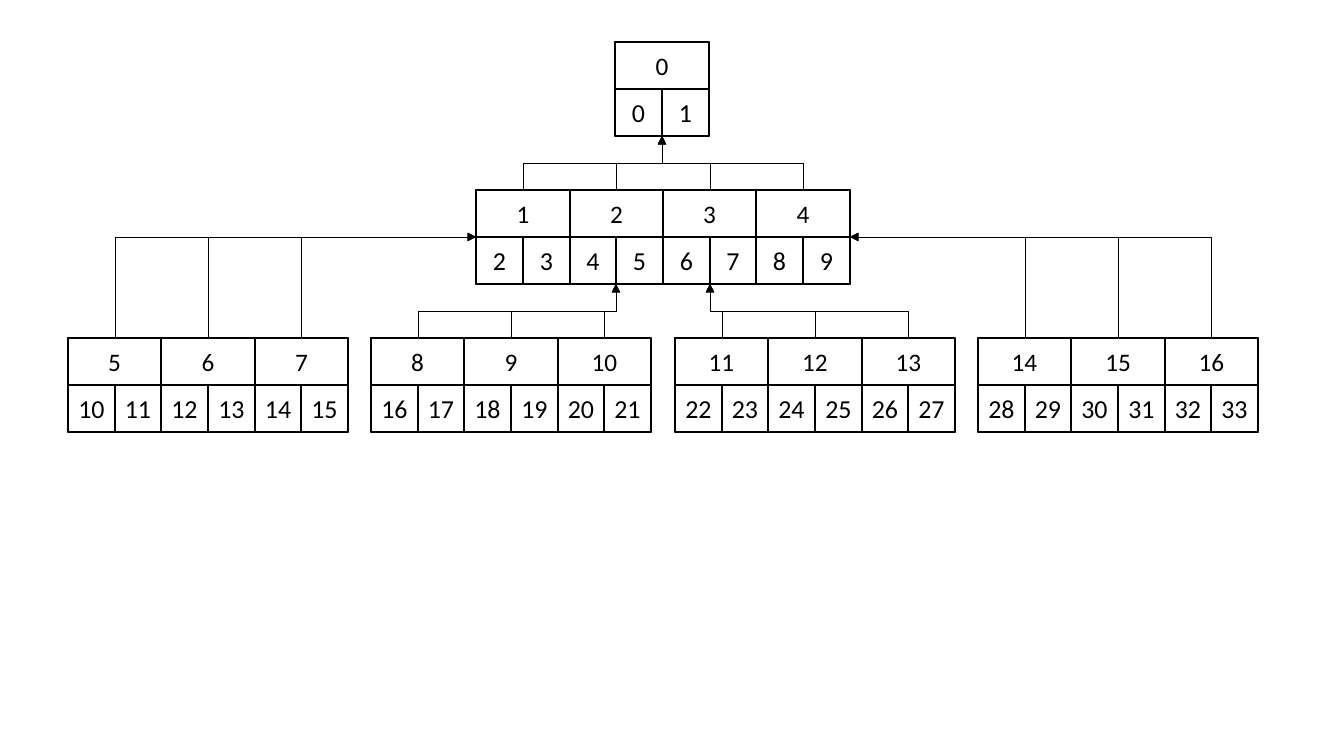
from pptx import Presentation
from pptx.dml.color import RGBColor
from pptx.enum.shapes import MSO_CONNECTOR as Link, MSO_SHAPE as Kind
from pptx.enum.text import MSO_ANCHOR as Anchor, PP_ALIGN as Align
from pptx.oxml.ns import qn
from pptx.oxml.xmlchemy import OxmlElement as Node
from pptx.util import Pt

BLACK = RGBColor(0, 0, 0)
WHITE = RGBColor(255, 255, 255)
SCALE = 914400 / 100.8
HIGH = 94  # height of a block: one key row above one slot row
ROW = HIGH // 2
FRAME = dict(margin_left=0, margin_right=0, margin_top=0, margin_bottom=0,
             word_wrap=False, vertical_anchor=Anchor.MIDDLE)
FONT = dict(name="Calibri", bold=False)


def emu(px):
    """Turn pixels into EMU."""
    return round(px * SCALE)


def apply(item, form):
    """Set every attribute in the format dict."""
    for key, val in form.items():
        setattr(item, key, val)


def cell(shapes, box, text="", size=18, fill=None):
    """Draw one outlined cell, with a centred number if given."""
    shape = shapes.add_shape(Kind.RECTANGLE, *map(emu, box))
    shape.shadow.inherit = False
    if fill is None:
        shape.fill.background()
    else:
        shape.fill.solid()
        shape.fill.fore_color.rgb = fill
    shape.line.color.rgb = BLACK
    shape.line.width = Pt(1)
    if text:
        frame = shape.text_frame
        apply(frame, FRAME)
        para = frame.paragraphs[0]
        para.alignment = Align.CENTER
        run = para.add_run()
        run.text = text
        apply(run.font, dict(FONT, size=Pt(size)))
        run.font.color.rgb = BLACK


def group(shapes, left, top, wide, first, count):
    """Draw a row of blocks; return the top centre of each."""
    edge = [left + round(i * wide / count / 2) for i in range(2 * count + 1)]
    for i in range(count):
        key = first + i
        x, mid, end = edge[2 * i:2 * i + 3]
        cell(shapes, (mid, top + ROW, end - mid, ROW), str(2 * key + 1), 18.5, WHITE)
        cell(shapes, (x, top + ROW, mid - x, ROW), str(2 * key), 18.5, WHITE)
        cell(shapes, (x, top, end - x, ROW), str(key))
        cell(shapes, (x, top, end - x, HIGH))
    return [(x, top) for x in edge[1::2]]


def arrow(shapes, start, end, side=False):
    """Draw an elbow arrow that leaves upward, entering from below or the side."""
    (x1, y1), (x2, y2) = start, end
    midx, midy = (x1 + x2) / 2, (y1 + y2) / 2
    halfw, halfh = abs(y2 - y1) / 2, abs(x2 - x1) / 2
    line = shapes.add_connector(Link.ELBOW, emu(midx - halfw), emu(midy - halfh),
                                emu(midx + halfw), emu(midy + halfh))
    line.line.color.rgb = BLACK
    line.line.width = Pt(0.5)
    prop = line.element.spPr
    turn = prop.find(qn("a:xfrm"))
    turn.set("flipV", "1")
    if x2 > x1:
        turn.set("flipH", "1")
    turn.set("rot", str((90 if x2 > x1 else 270) * 60000))
    if side:
        prop.find(qn("a:prstGeom")).set("prst", "bentConnector2")
    tip = Node("a:tailEnd")
    tip.set("type", "triangle")
    prop.find(qn("a:ln")).append(tip)
    prop.append(Node("a:effectLst"))


def tree(shapes, left, top, wide):
    """Draw the three levels of the tree and the arrows to each parent."""
    rootx, rooty = group(shapes, left + 547, top, 94, 0, 1)[0]
    midx, midy, midw = left + 408, top + 148, 374
    mids = group(shapes, midx, midy, midw, 1, 4)
    leafw, leafy = 280, top + 296
    step = (wide - leafw) / 3
    leaves = [group(shapes, left + round(i * step), leafy, leafw, 5 + 3 * i, 3)
              for i in range(4)]
    for start in mids:
        arrow(shapes, start, (rootx, rooty + HIGH))
    ports = [(midx, midy + ROW), (mids[1][0], midy + HIGH),
             (mids[2][0], midy + HIGH), (midx + midw, midy + ROW)]
    for i, (tops, port) in enumerate(zip(leaves, ports)):
        for start in tops:
            arrow(shapes, start, port, side=i in (0, 3))


deck = Presentation()
apply(deck, dict(slide_width=emu(1344), slide_height=emu(756)))
slide = deck.slides.add_slide(deck.slide_layouts[6])
tree(slide.shapes, 68, 42, 1190)
deck.save("out.pptx")
